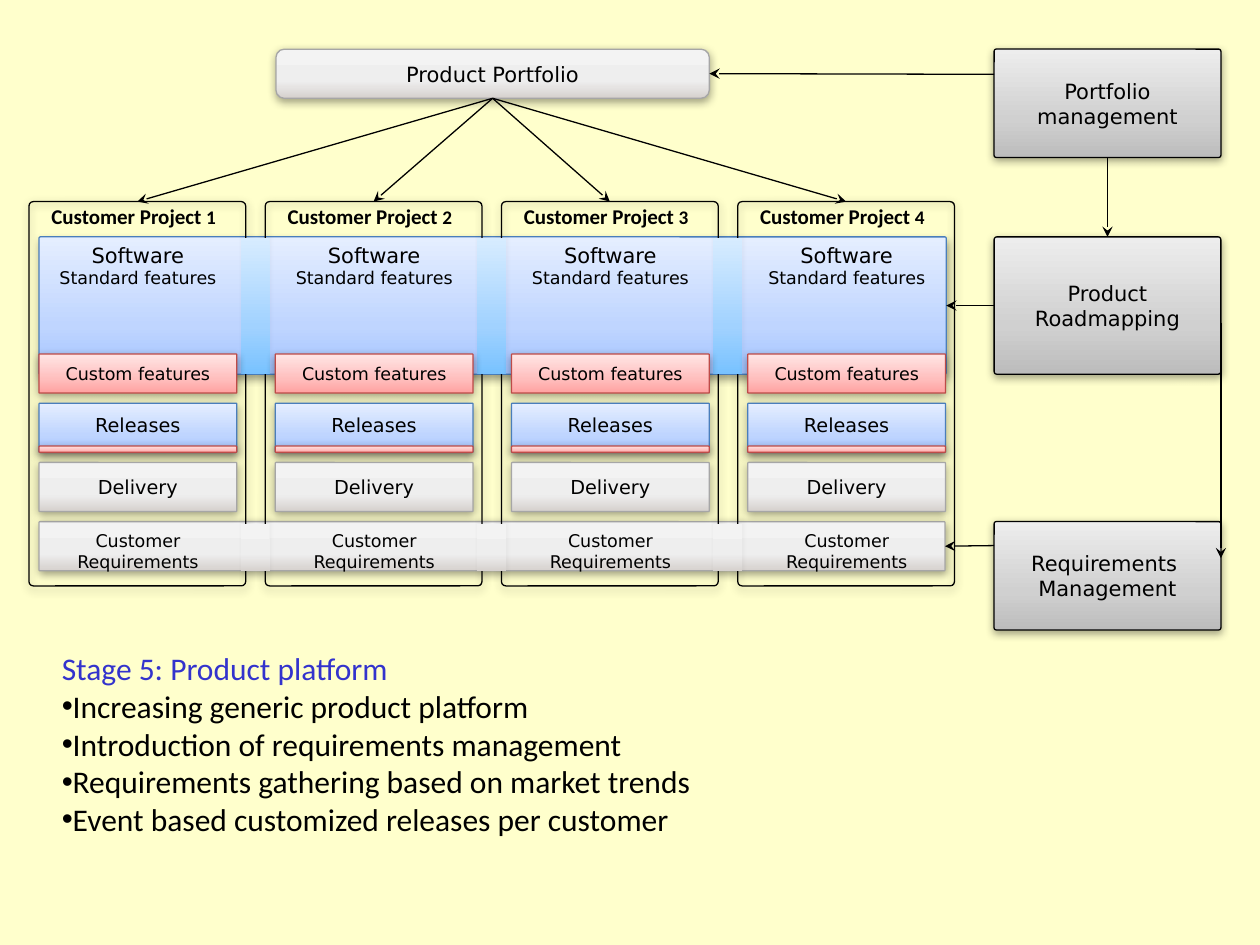
from lxml import etree
from copy import deepcopy
from pptx import Presentation
from pptx.dml.color import RGBColor
from pptx.enum.shapes import MSO_CONNECTOR, MSO_SHAPE
from pptx.enum.text import MSO_ANCHOR, PP_ALIGN
from pptx.oxml.ns import qn
from pptx.util import Inches, Pt

ROUND = MSO_SHAPE.ROUNDED_RECTANGLE
STRAIGHT = MSO_CONNECTOR.STRAIGHT
TOP, MIDDLE = MSO_ANCHOR.TOP, MSO_ANCHOR.MIDDLE
CENTER = PP_ALIGN.CENTER
COLORS = {
    "page": "FFFFCC", "ink": "000000", "head": "3333CC",
    "gray": "A6A6A6", "blue": "4A7EBB", "red": "BE4B48",
}
FADES = {
    "gray": ("F3F3F3", "EEEEEE", "D6D1CE"),
    "blue": ("E5EEFF", "BFD5FF", "A3C4FF"),
    "red": ("FFE5E5", "FFBEBD", "FFA2A1"),
    "steel": ("EDEDED", "D0D0D0", "BCBCBC"),
    "sky": ("D7ECFF", "A1D2FF", "78C2FF"),
}
SANS, BODY = "DejaVu Sans", "Calibri"
STAGE = "Stage 5: Product platform"
POINTS = [
    "Increasing generic product platform",
    "Introduction of requirements management",
    "Requirements gathering based on market trends",
    "Event based customized releases per customer",
]


class Board:
    """Holds the style and the current slide, and draws each kind of element."""

    def __init__(self, slide):
        self.slide = slide
        fill = slide.background.fill
        fill.solid()
        fill.fore_color.rgb = self.color("page")

    def color(self, name):
        return RGBColor.from_string(COLORS.get(name, name))

    def style(self, run, size, font=SANS, color="ink", bold=False):
        run.font.size, run.font.name, run.font.bold = Pt(size), font, bold
        run.font.color.rgb = self.color(color)

    def fade(self, shape, name):
        shape.fill.gradient()
        shape.fill.gradient_angle = 270
        stops = shape.element.spPr.find(".//" + qn("a:gsLst"))
        stops.append(deepcopy(stops[-1]))
        for stop, spot, tone in zip(shape.fill.gradient_stops, (0, 0.65, 1), FADES[name]):
            stop.color.rgb = self.color(tone)
            stop.position = spot

    def shade(self, shape):
        effects = shape.element.spPr.find(qn("a:effectLst"))
        outer = etree.SubElement(
            effects, qn("a:outerShdw"), blurRad=str(Pt(5)), dist=str(Pt(1.6)),
            dir="5400000", rotWithShape="0")
        tone = etree.SubElement(outer, qn("a:srgbClr"), val=COLORS["ink"])
        etree.SubElement(tone, qn("a:alpha"), val="37000")

    def box(self, at, fade=None, line=None, text=(), anchor=MIDDLE, pad=(0.05, 0.05), bend=0.02):
        shape = self.slide.shapes.add_shape(ROUND, *map(Inches, at))
        shape.adjustments[0] = bend
        shape.shadow.inherit = False
        if fade:
            self.fade(shape, fade)
        else:
            shape.fill.background()
        if line:
            shape.line.color.rgb = self.color(line)
            shape.line.width = Pt(0.75)
            self.shade(shape)
        else:
            shape.line.fill.background()
        if text:
            self.label(shape.text_frame, text, anchor, pad)
        return shape

    def label(self, frame, rows, anchor, pad):
        frame.word_wrap = True
        frame.vertical_anchor = anchor
        frame.margin_top, frame.margin_bottom = map(Inches, pad)
        frame.text = "\n".join(row for row, _ in rows)
        for para, (_, size) in zip(frame.paragraphs, rows):
            para.alignment = CENTER
            self.style(para.runs[0], size)

    def title(self, at, text, number):
        frame = self.slide.shapes.add_textbox(*map(Inches, at)).text_frame
        frame.word_wrap = True
        para = frame.paragraphs[0]
        para.text = text
        para.alignment = CENTER
        para.add_run().text = f" {number}"
        for run, size in zip(para.runs, (12, 11)):
            self.style(run, size, BODY, bold=True)

    def arrow(self, start, end):
        spots = [(0, 0) if hasattr(p[0], "shape_id") else p for p in (start, end)]
        link = self.slide.shapes.add_connector(
            STRAIGHT, *(Inches(n) for spot in spots for n in spot))
        for point, join in ((start, link.begin_connect), (end, link.end_connect)):
            if hasattr(point[0], "shape_id"):
                join(*point)
        link.line.color.rgb = self.color("ink")
        link.line.width = Pt(0.75)
        etree.SubElement(link.line._get_or_add_ln(), qn("a:tailEnd"), type="stealth")
        etree.SubElement(link.element.spPr, qn("a:effectLst"))

    def points(self, at, head, items):
        holder = self.slide.placeholders[1]
        holder.left, holder.top, holder.width, holder.height = map(Inches, at)
        frame = holder.text_frame
        frame.text = "\n".join([head, *items])
        for i, para in enumerate(frame.paragraphs):
            para.space_before = Pt(0)
            props = para._p.get_or_add_pPr()
            props.set("marL", "0")
            props.set("indent", "0")
            if i:
                etree.SubElement(props, qn("a:buChar"), char="•")
            else:
                etree.SubElement(props, qn("a:buNone"))
            self.style(para.runs[0], 18, BODY, "ink" if i else "head")


def main():
    deck = Presentation()
    deck.slide_width, deck.slide_height = Inches(10), Inches(7.5)
    slide = deck.slides.add_slide(deck.slide_layouts[1])
    name = slide.shapes.title.element
    name.getparent().remove(name)
    board = Board(slide)
    left, step, wide = 0.31, 1.875, 1.57
    cols = [left + step * i for i in range(4)]

    needs = board.box((left, 4.14, 7.19, 0.39), "gray", "gray")
    soft = board.box((left, 1.88, 7.2, 1.09), "blue", "blue", bend=0.01)
    frames = [board.box((x - 0.08, 1.6, 1.72, 3.05), line="ink") for x in cols]
    for x in cols[:-1]:
        board.box((x + 1.6, 1.89, 0.23, 1.08), "sky", bend=0.01)
        board.box((x + 1.6, 4.16, 0.23, 0.37), "gray")

    for i, x in enumerate(cols, 1):
        board.title((x - 0.01, 1.57, 1.52, 0.3), "Customer Project", i)
        board.box((x, 1.87, wide, 1.25), anchor=TOP, bend=0.01,
                  text=[("Software", 12), ("Standard features", 10)])
        board.box((x, 2.81, wide, 0.31), "red", "red", [("Custom features", 10)])
        board.box((x, 3.2, wide, 0.39), "blue", "blue", [("Releases", 11)], TOP, (0.08, 0.05))
        board.box((x, 3.54, wide, 0.05), "red", "red", bend=0.17)
        board.box((x, 3.67, wide, 0.39), "gray", "gray", [("Delivery", 11)])
        board.box((x, 4.15, wide, 0.39), text=[("Customer Requirements", 10)],
                  anchor=TOP, pad=(0.04, 0.12), bend=0.11)

    goods = board.box((2.19, 0.39, 3.44, 0.39), "gray", "gray",
                      [("Product Portfolio", 12)], bend=0.17)
    stages = [
        (0.39, 0.86, [("Portfolio management", 12)]),
        (1.88, 1.09, [("Product Roadmapping", 12)]),
        (4.14, 0.86, [("Requirements ", 12), ("Management", 12)]),
    ]
    plan, road, _ = [board.box((7.89, top, 1.8, high), "steel", "ink", text)
                     for top, high, text in stages]

    for frame in frames:
        board.arrow((goods, 2), (frame, 0))
    board.arrow((7.89, 0.59), (goods, 3))
    board.arrow((plan, 2), (road, 0))
    board.arrow((road, 1), (soft, 3))
    board.arrow((7.89, 4.33), (needs, 3))
    board.arrow((9.69, 2.56), (9.69, 4.43))
    board.points((0.39, 5.1, 7.34, 1.92), STAGE, POINTS)
    deck.save("out.pptx")


if __name__ == "__main__":
    main()
